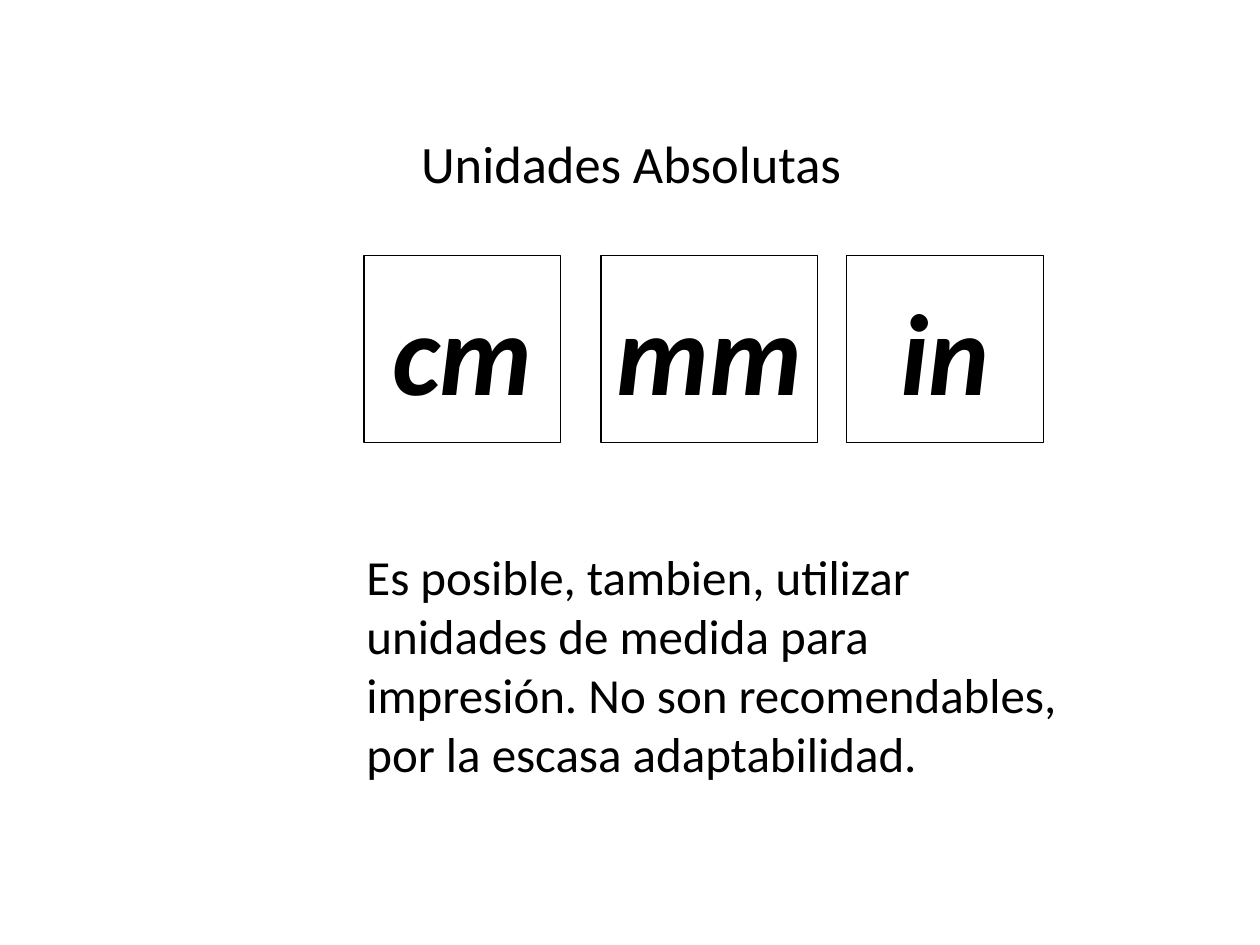
from pptx import Presentation
from pptx.dml.color import RGBColor
from pptx.enum.shapes import MSO_SHAPE as Shape
from pptx.enum.text import MSO_ANCHOR as Anchor, MSO_AUTO_SIZE as AutoSize, PP_ALIGN as Align
from pptx.util import Inches, Pt

BLACK = "000000"
BODY = ("Es posible, tambien, utilizar unidades de medida para impresión. "
        "No son recomendables, por la escasa adaptabilidad.")
# Unit name, left edge and width of its box
UNITS = [("cm", 2.89, 1.56), ("mm", 4.77, 1.72), ("in", 6.72, 1.56)]
UNIT_TOP, UNIT_HEIGHT = 2.03, 1.48


def color(value):
    return RGBColor.from_string(value)


def write_text(shape, text, align, **font_format):
    frame = shape.text_frame
    frame.word_wrap = True
    frame.auto_size = AutoSize.NONE
    frame.vertical_anchor = Anchor.MIDDLE
    paragraph = frame.paragraphs[0]
    paragraph.text = text
    paragraph.alignment = align
    font = paragraph.runs[0].font
    for name, value in {"name": "Calibri", **font_format}.items():
        setattr(font, name, value)
    font.color.rgb = color(BLACK)


def add_title(slide, text):
    title = slide.shapes.title
    place = {"left": 0.51, "top": 0.94, "width": 9, "height": 0.7}
    for name, value in place.items():
        setattr(title, name, Inches(value))
    write_text(title, text, Align.CENTER, size=Pt(30))


def add_body(slide, text):
    box = slide.shapes.add_textbox(Inches(2.81), Inches(4.61), Inches(5.94), Inches(1.33))
    write_text(box, text, Align.LEFT, size=Pt(28))


def add_unit(slide, text, left, width):
    shape = slide.shapes.add_shape(Shape.RECTANGLE, Inches(left), Inches(UNIT_TOP),
                                   Inches(width), Inches(UNIT_HEIGHT))
    shape.shadow.inherit = False
    shape.fill.background()
    shape.line.color.rgb = color(BLACK)
    shape.line.width = Pt(0.75)
    write_text(shape, text, Align.CENTER, size=Pt(66), bold=True, italic=True)


def main():
    presentation = Presentation()
    presentation.slide_width = Inches(10)
    presentation.slide_height = Inches(7.5)
    slide = presentation.slides.add_slide(presentation.slide_layouts[5])

    # Heading and explanation
    add_title(slide, "Unidades Absolutas")
    add_body(slide, BODY)

    # Row of unit boxes
    for text, left, width in UNITS:
        add_unit(slide, text, left, width)

    presentation.save("out.pptx")


if __name__ == "__main__":
    main()
